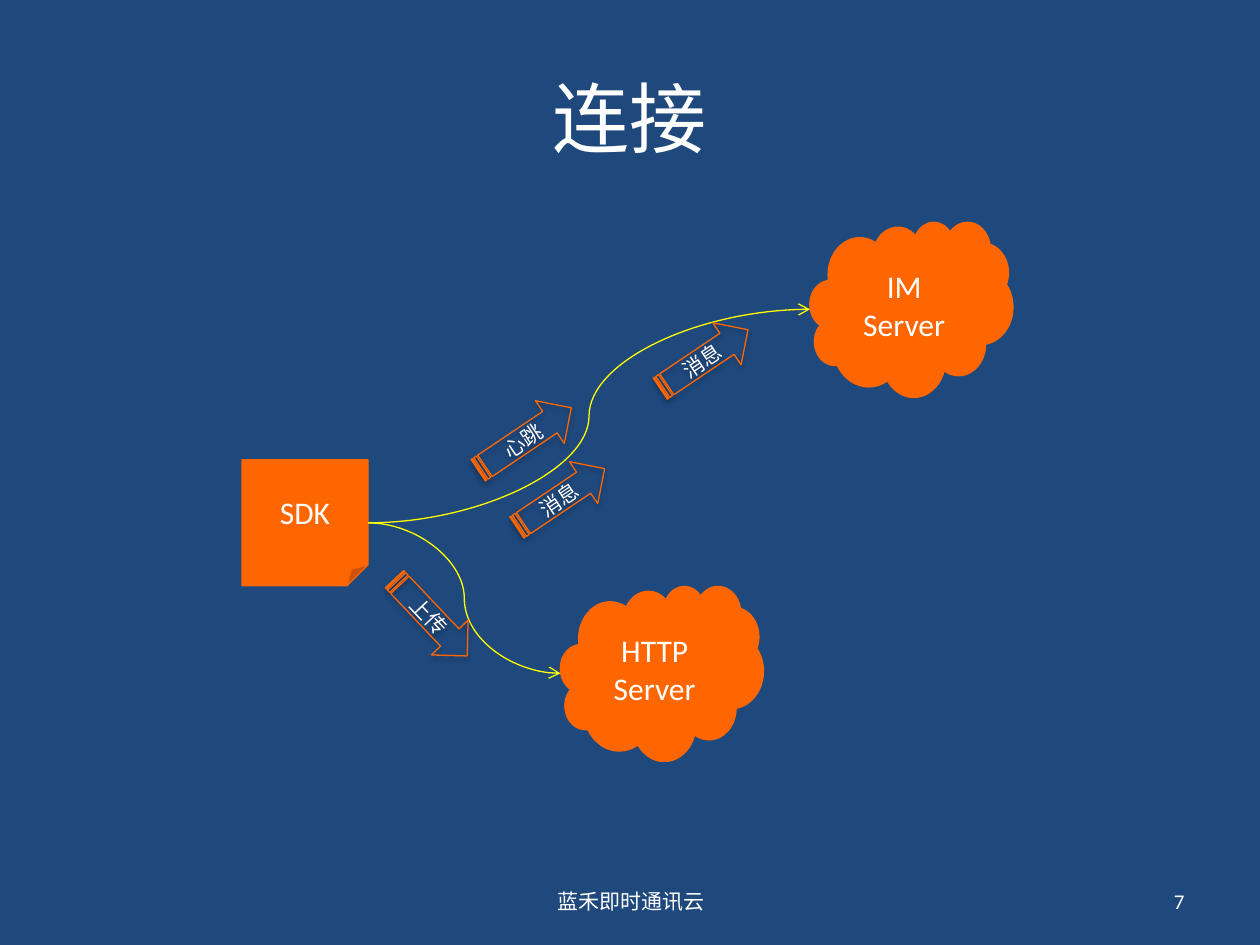
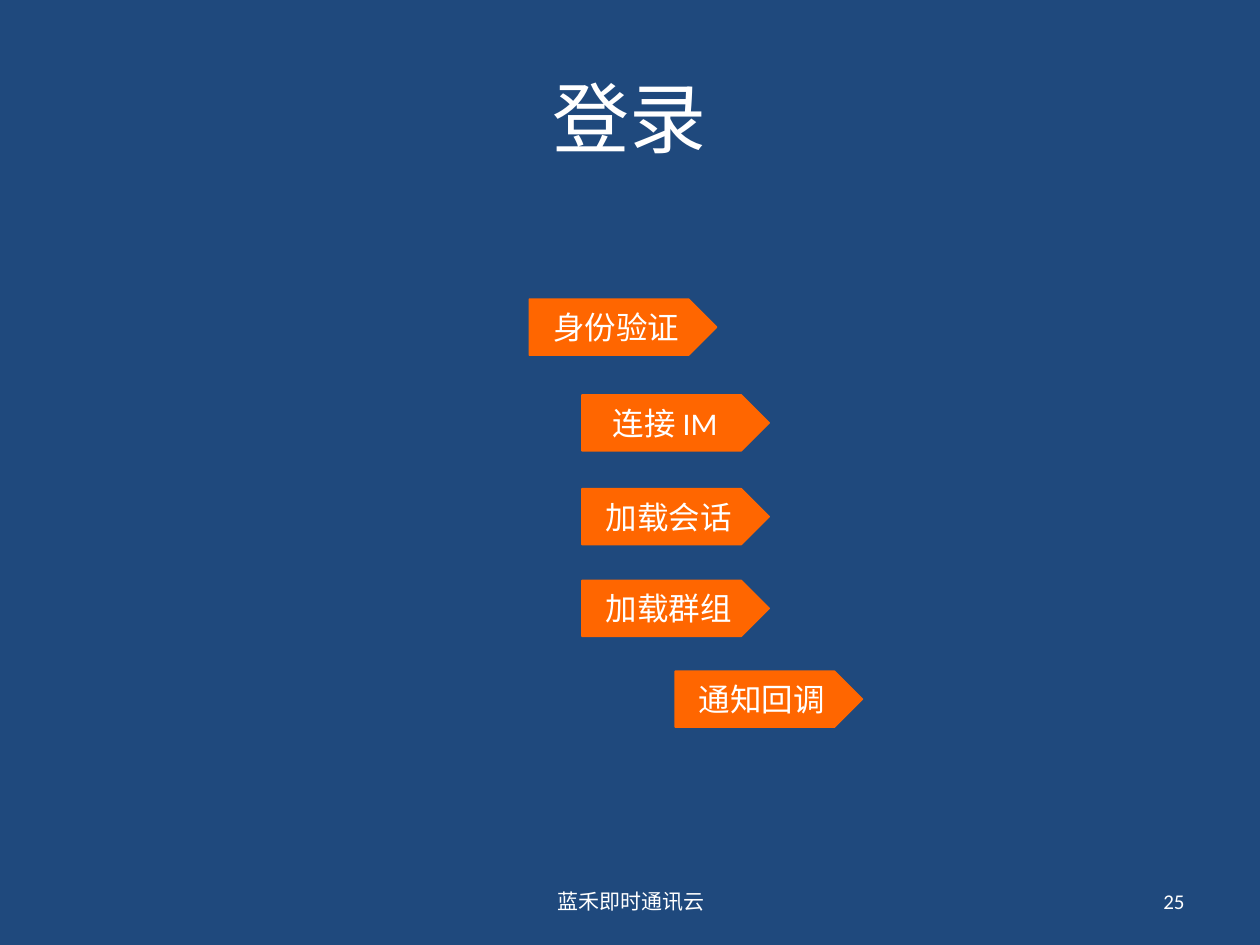
from dataclasses import dataclass

from lxml import etree
from pptx import Presentation
from pptx import util as u
from pptx.dml.color import RGBColor
from pptx.enum import shapes, text
from pptx.oxml import ns

Kind = shapes.MSO_SHAPE
Align = text.PP_ALIGN


@dataclass(frozen=True)
class Theme:
    back: RGBColor = RGBColor(0x1F, 0x49, 0x7D)
    main: RGBColor = RGBColor(0xFF, 0x66, 0x00)
    link: RGBColor = RGBColor(0xFF, 0xFF, 0x00)
    ink: RGBColor = RGBColor(0xFF, 0xFF, 0xFF)
    font: str = "Calibri"
    head: int = 44
    body: int = 18
    small: int = 12
    line: float = 0.75


@dataclass(frozen=True)
class Box:
    """A rectangle in centimetres."""
    x: float
    y: float
    w: float
    h: float

    def cm(self) -> list:
        return [u.Cm(v) for v in (self.x, self.y, self.w, self.h)]


@dataclass(frozen=True)
class Node:
    label: str
    kind: Kind
    box: Box


@dataclass(frozen=True)
class Flow:
    """A tilted outline arrow that names what is sent."""
    label: str
    box: Box
    turn: float


@dataclass(frozen=True)
class Step:
    label: str
    x: float
    y: float


THEME = Theme()
BRAND = "蓝禾即时通讯云"
TITLE = Box(1.27, 0.76, 22.86, 3.18)
FOOT = Box(8.69, 17.65, 8.05, 1.02)
PAGE = Box(18.21, 17.65, 5.92, 1.02)

SDK = Node("SDK", Kind.FOLDED_CORNER, Box(4.88, 9.27, 2.54, 2.54))
CLOUDS = [
    Node("IM Server", Kind.CLOUD, Box(16.33, 4.47, 4.09, 3.53)),
    Node("HTTP Server", Kind.CLOUD, Box(11.3, 11.81, 4.09, 3.53)),
]
UP, DOWN = 326.1, 46.6
FLOWS = [
    Flow("心跳", Box(9.45, 8.33, 2.26, 1.04), UP),
    Flow("消息", Box(13.13, 6.73, 2.13, 1.02), UP),
    Flow("消息", Box(10.24, 9.53, 2.13, 1.02), UP),
    Flow("上传", Box(7.62, 11.94, 2.13, 1.02), DOWN),
]
STEPS = [
    Step("身份验证", 10.67, 6.03),
    Step("连接 IM ", 11.73, 7.96),
    Step("加载会话", 11.73, 9.85),
    Step("加载群组", 11.73, 11.7),
    Step("通知回调", 13.61, 13.53),
]


def write(shape, label: str, size: int, align=Align.CENTER) -> None:
    frame = shape.text_frame
    frame.word_wrap = True
    frame.vertical_anchor = text.MSO_ANCHOR.MIDDLE
    para = frame.paragraphs[0]
    para.alignment = align
    run = para.add_run()
    run.text = label
    style = {"name": THEME.font, "size": u.Pt(size)}
    for key, value in style.items():
        setattr(run.font, key, value)
    run.font.color.rgb = THEME.ink


def stroke(line, color: RGBColor) -> None:
    line.color.rgb = color
    line.width = u.Pt(THEME.line)


def add_text(slide, label: str, box: Box, size: int, align=Align.CENTER) -> None:
    write(slide.shapes.add_textbox(*box.cm()), label, size, align)


def add_node(slide, node: Node, size: int = THEME.body, solid: bool = True):
    shape = slide.shapes.add_shape(node.kind, *node.box.cm())
    if solid:
        shape.fill.solid()
        shape.fill.fore_color.rgb = THEME.main
    else:
        shape.fill.background()
    stroke(shape.line, THEME.main)
    shape.shadow.inherit = False
    write(shape, node.label, size)
    return shape


def add_flow(slide, flow: Flow) -> None:
    node = Node(flow.label, Kind.STRIPED_RIGHT_ARROW, flow.box)
    shape = add_node(slide, node, THEME.small, solid=False)
    shape.rotation = flow.turn
    effects = shape.element.spPr.find(ns.qn("a:effectLst"))
    shade = etree.SubElement(effects, ns.qn("a:outerShdw"), blurRad="40000",
                             dist="23000", dir="5400000", rotWithShape="0")
    black = etree.SubElement(shade, ns.qn("a:srgbClr"), val="000000")
    etree.SubElement(black, ns.qn("a:alpha"), val="35000")


def add_link(slide, start: Box, end: Box) -> None:
    """Curve from the right side of start to the left side of end."""
    ends = (start.x + start.w, start.y + start.h / 2,
            end.x, end.y + end.h / 2)
    link = slide.shapes.add_connector(
        shapes.MSO_CONNECTOR.CURVE, *(u.Cm(v) for v in ends))
    stroke(link.line, THEME.link)
    props = link.element.spPr
    etree.SubElement(props.find(ns.qn("a:ln")), ns.qn("a:tailEnd"), type="arrow")
    etree.SubElement(props, ns.qn("a:effectLst"))


def add_slide(deck, title: str, page: int):
    slide = deck.slides.add_slide(deck.slide_layouts[6])
    slide.background.fill.solid()
    slide.background.fill.fore_color.rgb = THEME.back
    add_text(slide, title, TITLE, THEME.head)
    add_text(slide, BRAND, FOOT, THEME.small)
    add_text(slide, str(page), PAGE, THEME.small, Align.RIGHT)
    return slide


def draw_links(deck) -> None:
    slide = add_slide(deck, "连接", 7)
    add_node(slide, SDK)
    for cloud in CLOUDS:
        add_node(slide, cloud)
        add_link(slide, SDK.box, cloud.box)
    for flow in FLOWS:
        add_flow(slide, flow)


def draw_login(deck) -> None:
    slide = add_slide(deck, "登录", 25)
    for step in STEPS:
        box = Box(step.x, step.y, 3.78, 1.13)
        add_node(slide, Node(step.label, Kind.PENTAGON, box))


def main() -> None:
    deck = Presentation()
    deck.slide_width, deck.slide_height = u.Cm(25.4), u.Cm(19.05)
    draw_links(deck)
    draw_login(deck)
    deck.save("out.pptx")


if __name__ == "__main__":
    main()
